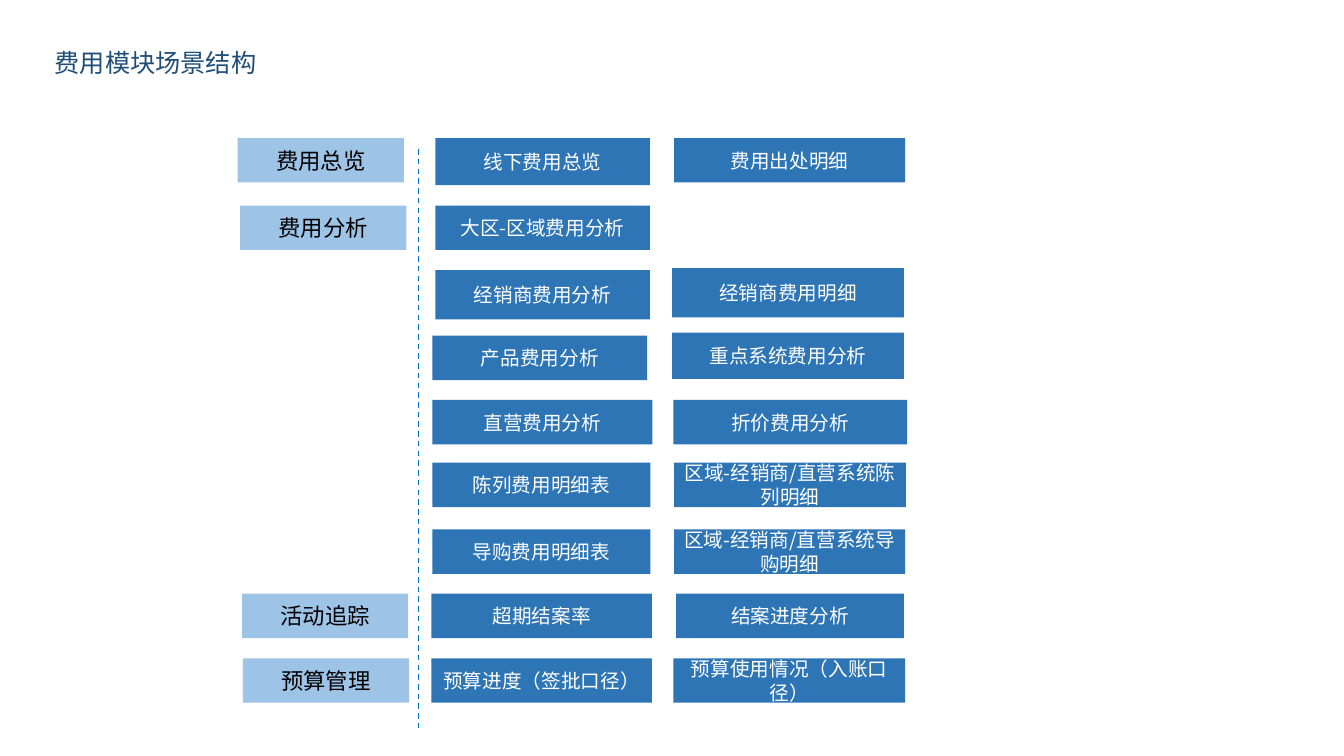
"""Build the slide that maps the scenes of the expense module."""

import dataclasses

import lxml.etree
import pptx
import pptx.dml.color
import pptx.enum.dml
import pptx.enum.shapes
import pptx.enum.text
import pptx.oxml.ns
import pptx.shapes.base
import pptx.slide
import pptx.util
from pptx.util import Cm


@dataclasses.dataclass(frozen=True)
class Theme:
    """Fonts, colours and type sizes of the slide."""

    font: str = "Noto Sans CJK SC"
    title: str = "1F4E79"
    divider: str = "0070C0"
    category: str = "9DC3E6"
    scene: str = "2E75B6"
    dark: str = "000000"
    light: str = "FFFFFF"
    title_size: int = 18
    category_size: int = 16
    scene_size: int = 14


@dataclasses.dataclass(frozen=True)
class Block:
    """A labelled rectangle, measured in centimetres."""

    text: str
    left: float
    top: float
    width: float
    height: float = 1.12


THEME = Theme()
CATEGORY_WIDTH = 4.19

CATEGORIES = [
    Block("费用总览", 5.99, 3.48, CATEGORY_WIDTH),
    Block("费用分析", 6.05, 5.18, CATEGORY_WIDTH),
    Block("活动追踪", 6.10, 14.96, CATEGORY_WIDTH),
    Block("预算管理", 6.12, 16.59, CATEGORY_WIDTH),
]

SCENES = [
    Block("线下费用总览", 10.97, 3.48, 5.41, 1.19),
    Block("费用出处明细", 16.99, 3.48, 5.82),
    Block("大区-区域费用分析", 10.97, 5.18, 5.41),
    Block("经销商费用分析", 10.97, 6.81, 5.41, 1.24),
    Block("经销商费用明细", 16.94, 6.76, 5.84, 1.24),
    Block("产品费用分析", 10.90, 8.46, 5.41),
    Block("重点系统费用分析", 16.94, 8.38, 5.84, 1.17),
    Block("直营费用分析", 10.90, 10.08, 5.54),
    Block("折价费用分析", 16.97, 10.08, 5.89),
    Block("陈列费用明细表", 10.90, 11.66, 5.49),
    Block("区域-经销商/直营系统陈列明细", 16.99, 11.66, 5.84),
    Block("导购费用明细表", 10.90, 13.34, 5.49),
    Block("区域-经销商/直营系统导购明细", 16.99, 13.34, 5.82),
    Block("超期结案率", 10.87, 14.96, 5.56),
    Block("结案进度分析", 17.04, 14.96, 5.74),
    Block("预算进度（签批口径）", 10.87, 16.59, 5.56),
    Block("预算使用情况（入账口径）", 16.97, 16.59, 5.84),
]


def rgb(value: str) -> pptx.dml.color.RGBColor:
    """Return the colour for a hexadecimal value."""
    return pptx.dml.color.RGBColor.from_string(value)


def write_text(
    shape: pptx.shapes.base.BaseShape,
    text: str,
    *,
    size: int,
    color: str,
    anchor: pptx.enum.text.MSO_ANCHOR = pptx.enum.text.MSO_ANCHOR.MIDDLE,
) -> None:
    """Write one centred line of formatted text into a shape."""
    frame = shape.text_frame
    frame.word_wrap = True
    frame.vertical_anchor = anchor
    para = frame.paragraphs[0]
    para.alignment = pptx.enum.text.PP_ALIGN.CENTER
    span = para.add_run()
    span.text = text
    span.font.size = pptx.util.Pt(size)
    span.font.name = THEME.font
    span.font.color.rgb = rgb(color)
    east_asian = lxml.etree.SubElement(span.font._element, pptx.oxml.ns.qn("a:ea"))
    east_asian.set("typeface", THEME.font)


def draw_title(page: pptx.slide.Slide, text: str) -> None:
    """Draw the slide title."""
    box = page.shapes.add_textbox(Cm(0.86), Cm(1.07), Cm(6.12), Cm(1.07))
    write_text(
        box,
        text,
        size=THEME.title_size,
        color=THEME.title,
        anchor=pptx.enum.text.MSO_ANCHOR.TOP,
    )
    box.text_frame.auto_size = pptx.enum.text.MSO_AUTO_SIZE.SHAPE_TO_FIT_TEXT


def draw_divider(page: pptx.slide.Slide) -> None:
    """Draw the dashed line between the categories and their scenes."""
    divider = page.shapes.add_connector(
        pptx.enum.shapes.MSO_CONNECTOR.STRAIGHT,
        Cm(10.54), Cm(3.76), Cm(10.54), Cm(18.36),
    )
    divider.line.color.rgb = rgb(THEME.divider)
    divider.line.width = pptx.util.Pt(1)
    divider.line.dash_style = pptx.enum.dml.MSO_LINE.DASH
    lxml.etree.SubElement(divider._element.spPr, pptx.oxml.ns.qn("a:effectLst"))


def draw_block(
    page: pptx.slide.Slide, block: Block, *, fill: str, size: int, color: str
) -> None:
    """Draw one labelled rectangle."""
    shape = page.shapes.add_shape(
        pptx.enum.shapes.MSO_SHAPE.RECTANGLE,
        Cm(block.left), Cm(block.top), Cm(block.width), Cm(block.height),
    )
    shape.shadow.inherit = False
    shape.fill.solid()
    shape.fill.fore_color.rgb = rgb(fill)
    shape.line.fill.background()
    write_text(shape, block.text, size=size, color=color)


def main() -> None:
    """Build and save the deck."""
    deck = pptx.Presentation()
    deck.slide_width, deck.slide_height = Cm(33.87), Cm(19.05)
    page = deck.slides.add_slide(deck.slide_layouts[6])
    draw_title(page, "费用模块场景结构")
    draw_divider(page)
    for category in CATEGORIES:
        draw_block(
            page, category,
            fill=THEME.category, size=THEME.category_size, color=THEME.dark,
        )
    for scene in SCENES:
        draw_block(
            page, scene,
            fill=THEME.scene, size=THEME.scene_size, color=THEME.light,
        )
    deck.save("out.pptx")


if __name__ == "__main__":
    main()
